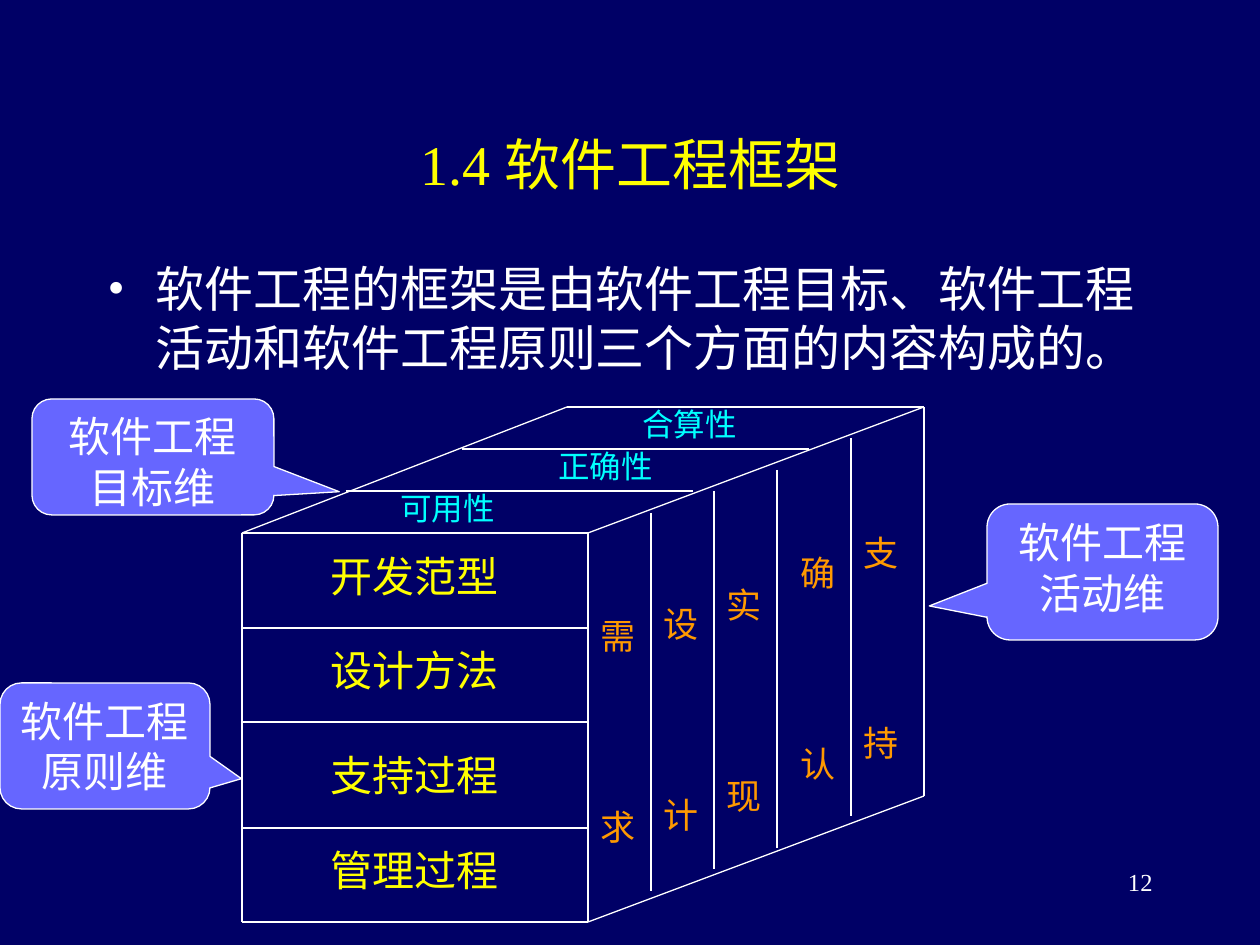
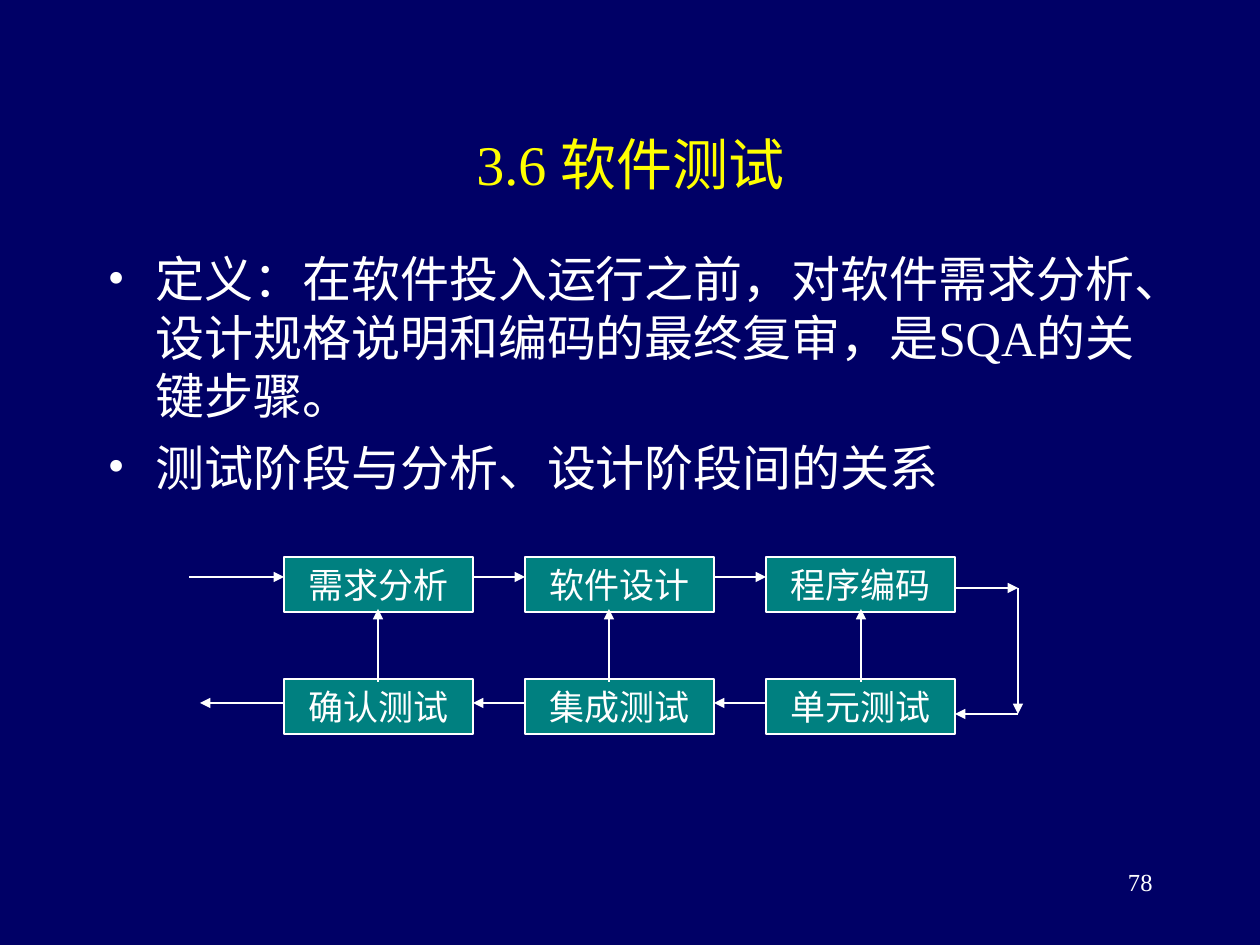
from lxml.etree import SubElement
from pptx import Presentation
from pptx.dml.color import RGBColor
from pptx.enum.shapes import MSO_CONNECTOR, MSO_SHAPE
from pptx.enum.text import MSO_ANCHOR, MSO_AUTO_SIZE, PP_ALIGN
from pptx.oxml.ns import qn
from pptx.util import Emu, Pt

NAVY = RGBColor(0x00, 0x00, 0x66)
WHITE = RGBColor(0xFF, 0xFF, 0xFF)
YELLOW = RGBColor(0xFF, 0xFF, 0x00)
ORANGE = RGBColor(0xFF, 0x99, 0x00)
CYAN = RGBColor(0x00, 0xFF, 0xFF)
VIOLET = RGBColor(0x66, 0x66, 0xFF)
TEAL = RGBColor(0x00, 0x80, 0x80)

FONT = "Times New Roman"
LINE_WIDTH = Pt(0.74)
EMU_PER_PIXEL = 914400 / 126


def px(*lengths):
    return [Emu(round(length * EMU_PER_PIXEL)) for length in lengths]


class Deck:
    """Shared style and the slide being built."""

    def __init__(self):
        self.presentation = Presentation()
        self.presentation.slide_width, self.presentation.slide_height = px(1260, 945)
        background = self.presentation.slide_master.background.fill
        background.solid()
        background.fore_color.rgb = NAVY
        self.slide = None

    def add_slide(self, title, points, body_top, body_height, number):
        layout = self.presentation.slide_layouts[1]
        self.slide = self.presentation.slides.add_slide(layout)
        heading = self.slide.shapes.title
        self.place(heading, 95, 84, 1071, 158)
        self.fill_text(heading, [title], 32, YELLOW, PP_ALIGN.CENTER,
                       anchor=MSO_ANCHOR.MIDDLE)
        body = self.slide.placeholders[1]
        self.place(body, 95, body_top, 1071, body_height)
        self.fill_text(body, points, 28, WHITE, PP_ALIGN.LEFT, space_before=7)
        for paragraph in body.text_frame.paragraphs:
            self.bullet(paragraph)
        self.text(number, 903, 861, 262, 63, 14, WHITE, PP_ALIGN.RIGHT)

    def place(self, shape, left, top, width, height):
        shape.left, shape.top, shape.width, shape.height = px(left, top, width, height)

    def fill_text(self, shape, lines, size, color, align, space_before=0,
                  anchor=MSO_ANCHOR.TOP):
        frame = shape.text_frame
        frame.word_wrap = True
        frame.auto_size = MSO_AUTO_SIZE.NONE
        frame.vertical_anchor = anchor
        for index, line in enumerate(lines):
            paragraph = frame.add_paragraph() if index else frame.paragraphs[0]
            paragraph.alignment = align
            paragraph.space_before = Pt(space_before)
            run = paragraph.add_run()
            run.text = line
            run.font.name = FONT
            run.font.size = Pt(size)
            run.font.color.rgb = color

    def bullet(self, paragraph):
        properties = paragraph._p.get_or_add_pPr()
        indent = px(48)[0]
        properties.set("marL", str(indent))
        properties.set("indent", str(-indent))
        color = SubElement(properties, qn("a:buClr"))
        SubElement(color, qn("a:srgbClr"), val=str(WHITE))
        SubElement(properties, qn("a:buFont"), typeface=FONT)
        SubElement(properties, qn("a:buChar"), char="•")

    def text(self, line, left, top, width, height, size, color, align):
        box = self.slide.shapes.add_textbox(*px(left, top, width, height))
        self.fill_text(box, [line], size, color, align)

    def column(self, characters, left, top):
        """Two characters far apart, one above the other."""
        box = self.slide.shapes.add_textbox(*px(left, top, 63, 310))
        self.fill_text(box, characters, 20, ORANGE, PP_ALIGN.LEFT,
                       space_before=85, anchor=MSO_ANCHOR.BOTTOM)

    def shape(self, kind, line, left, top, width, height, fill, size):
        shape = self.slide.shapes.add_shape(kind, *px(left, top, width, height))
        shape.shadow.inherit = False
        shape.fill.solid()
        shape.fill.fore_color.rgb = fill
        shape.line.color.rgb = WHITE
        shape.line.width = LINE_WIDTH
        self.fill_text(shape, [line], size, WHITE, PP_ALIGN.CENTER)
        return shape

    def callout(self, line, left, top, width, height, tip_x, tip_y):
        shape = self.shape(MSO_SHAPE.ROUNDED_RECTANGULAR_CALLOUT, line,
                           left, top, width, height, VIOLET, 24)
        for index, value in enumerate((tip_x, tip_y, 0.17)):
            shape.adjustments[index] = value

    def line(self, x1, y1, x2, y2, arrow=False):
        connector = self.slide.shapes.add_connector(
            MSO_CONNECTOR.STRAIGHT, *px(x1, y1, x2, y2))
        connector.line.color.rgb = WHITE
        connector.line.width = LINE_WIDTH
        properties = connector._element.spPr
        if arrow:
            SubElement(properties.find(qn("a:ln")), qn("a:tailEnd"), type="triangle")
        SubElement(properties, qn("a:effectLst"))

    def arrow(self, x1, y1, x2, y2):
        self.line(x1, y1, x2, y2, arrow=True)


deck = Deck()

# Slide 1: the framework as a box with three dimensions
deck.add_slide("1.4 软件工程框架",
               ["软件工程的框架是由软件工程目标、软件工程活动和软件工程原则三个方面的内容构成的。"],
               252, 147, "12")

# Box edges
LEFT, RIGHT, FRONT_TOP, FRONT_BOTTOM = 242, 588, 533, 922
BACK_LEFT, BACK_RIGHT, BACK_TOP, BACK_BOTTOM = 567, 924, 407, 796
for y in (FRONT_TOP, 628, 722, 828, FRONT_BOTTOM):
    deck.line(LEFT, y, RIGHT, y)
for x in (LEFT, RIGHT):
    deck.line(x, FRONT_TOP, x, FRONT_BOTTOM)
deck.line(BACK_LEFT, BACK_TOP, LEFT, FRONT_TOP)
deck.line(RIGHT, FRONT_TOP, BACK_RIGHT, BACK_TOP)
deck.line(BACK_LEFT, BACK_TOP, BACK_RIGHT, BACK_TOP)
deck.line(BACK_RIGHT, BACK_TOP, BACK_RIGHT, BACK_BOTTOM)
deck.line(RIGHT, FRONT_BOTTOM, BACK_RIGHT, BACK_BOTTOM)

# Dividers on the top and the side
for x, y in ((462, 449), (346, 491)):
    deck.line(x, y, x + 347, y)
for x, y in ((651, 513), (714, 491), (777, 470), (851, 438)):
    deck.line(x, y, x, y + 378)

# Labels on the three faces
for label, top in (("开发范型", 544), ("设计方法", 638), ("支持过程", 743), ("管理过程", 838)):
    deck.text(label, 252, top, 325, 63, 24, YELLOW, PP_ALIGN.CENTER)
for characters, left, top in (("需求", 588, 544), ("设计", 651, 532), ("实现", 714, 513),
                              ("确认", 788, 481), ("支持", 851, 460)):
    deck.column(characters, left, top)
for label, left, top in (("可用性", 388, 483), ("正确性", 546, 441), ("合算性", 630, 399)):
    deck.text(label, left, top, 242, 50, 18, CYAN, PP_ALIGN.LEFT)

# Names of the dimensions
deck.callout("软件工程活动维", 987, 504, 231, 136, -0.75, 0.25)
deck.callout("软件工程目标维", 32, 399, 242, 116, 0.77, 0.3)
deck.callout("软件工程原则维", 0, 683, 210, 126, 0.65, 0.26)

# Slide 2: test phases matched with development phases
deck.add_slide("3.6 软件测试",
               ["定义：在软件投入运行之前，对软件需求分析、设计规格说明和编码的最终复审，是SQA的关键步骤。",
                "测试阶段与分析、设计阶段间的关系"],
               242, 273, "78")

# Phase boxes
BOX_WIDTH, BOX_HEIGHT = 189, 55
starts = [284, 525, 766]
ends = [start + BOX_WIDTH for start in starts]
for top, names in ((557, ("需求分析", "软件设计", "程序编码")),
                   (679, ("确认测试", "集成测试", "单元测试"))):
    for left, name in zip(starts, names):
        deck.shape(MSO_SHAPE.RECTANGLE, name, left, top,
                   BOX_WIDTH, BOX_HEIGHT, TEAL, 20)

# Forward and backward flow, then the turn at the right
for x1, x2 in zip([189] + ends[:2], starts):
    deck.arrow(x1, 577, x2, 577)
for x1, x2 in zip(starts, [200] + ends[:2]):
    deck.arrow(x1, 703, x2, 703)
TURN = 1018
deck.arrow(ends[2], 588, TURN, 588)
deck.arrow(TURN, 588, TURN, 714)
deck.arrow(TURN, 714, ends[2], 714)

# Each test leads back to its phase
for x in (378, 609, 861):
    deck.arrow(x, 682, x, 609)

deck.presentation.save("out.pptx")
